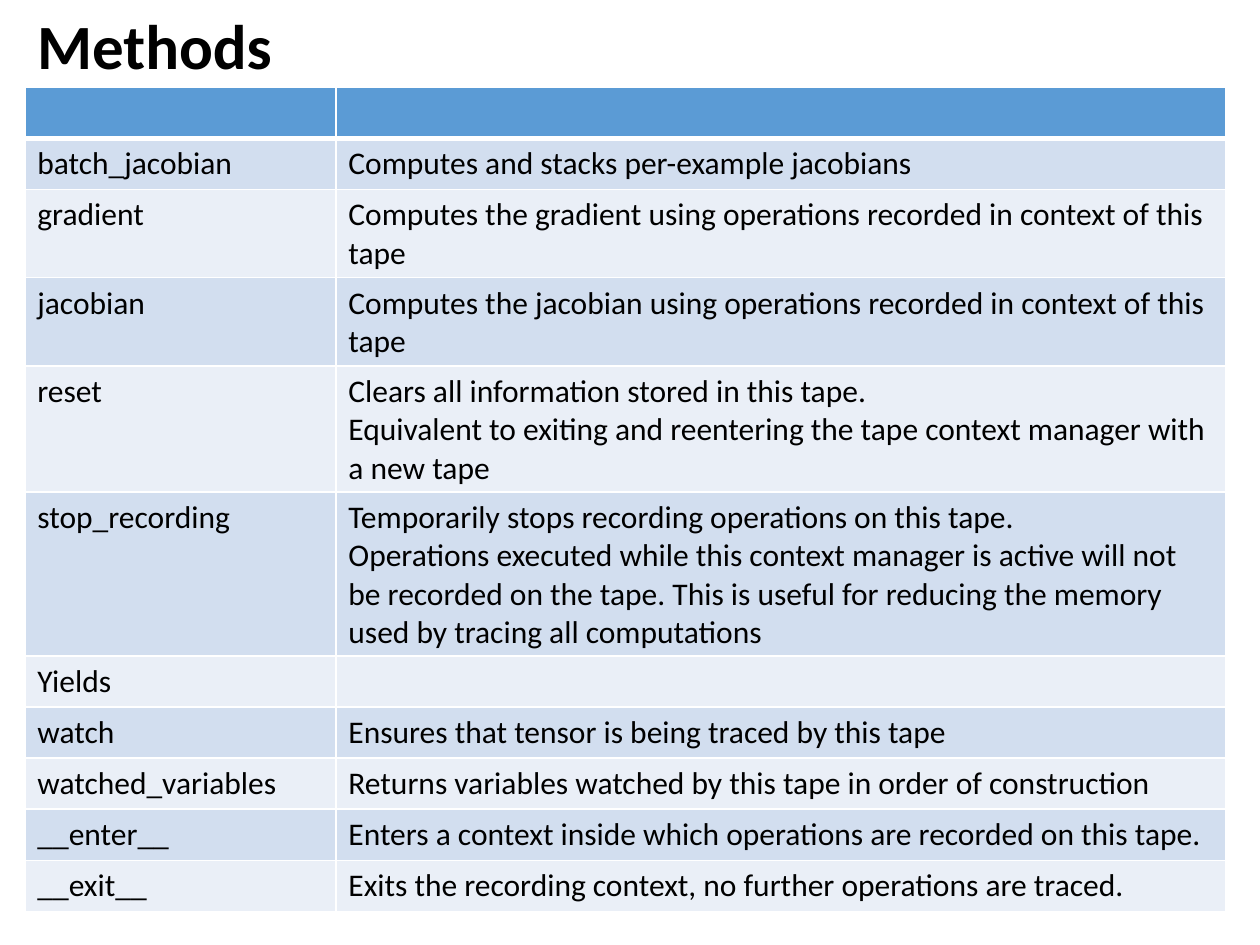
"""Build a slide with a table of gradient tape methods."""
from lxml import etree
from pptx import Presentation
from pptx.dml.color import RGBColor
from pptx.enum.text import MSO_AUTO_SIZE
from pptx.oxml.ns import qn
from pptx.util import Cm, Pt

FIT_SHAPE = MSO_AUTO_SIZE.SHAPE_TO_FIT_TEXT
FONT = "Calibri"
BLACK, WHITE, HEADER = "000000", "FFFFFF", "5B9BD5"
BANDS = ("D2DEEF", "EAEFF7")
COLUMN_WIDTHS = (6.27, 17.93)
ROW_HEIGHT = 1.03
METHODS = [
    ("batch_jacobian", "Computes and stacks per-example jacobians"),
    ("gradient", "Computes the gradient using operations recorded in context of this tape"),
    ("jacobian", "Computes the jacobian using operations recorded in context of this tape"),
    ("reset", "Clears all information stored in this tape.\n"
     "Equivalent to exiting and reentering the tape context manager with a new tape"),
    ("stop_recording", "Temporarily stops recording operations on this tape.\n"
     "Operations executed while this context manager is active will not be recorded "
     "on the tape. This is useful for reducing the memory used by tracing all computations"),
    ("Yields", ""),
    ("watch", "Ensures that tensor is being traced by this tape"),
    ("watched_variables", "Returns variables watched by this tape in order of construction"),
    ("__enter__", "Enters a context inside which operations are recorded on this tape."),
    ("__exit__", "Exits the recording context, no further operations are traced."),
]


def color(value):
    """Turn a hex string into a colour."""
    return RGBColor.from_string(value)


def write(frame, text, size, bold=False):
    """Fill a text frame and format its runs."""
    frame.text = text
    for para in frame.paragraphs:
        for span in para.runs:
            span.font.name = FONT
            span.font.size = Pt(size)
            span.font.bold = bold
            span.font.color.rgb = color(BLACK)


def add_title(page, text):
    """Add the bold heading."""
    box = page.shapes.add_textbox(Cm(0.5), Cm(0), Cm(5.3), Cm(1.8))
    box.text_frame.word_wrap = False
    box.text_frame.auto_size = FIT_SHAPE
    write(box.text_frame, text, 36, bold=True)


def add_borders(cell, bottom_width):
    """Draw white lines on the four sides of a cell."""
    properties = cell._tc.get_or_add_tcPr()
    for side, width in (("L", 1), ("R", 1), ("T", 1), ("B", bottom_width)):
        line = etree.SubElement(properties, qn(f"a:ln{side}"), w=str(Pt(width)))
        fill = etree.SubElement(line, qn("a:solidFill"))
        etree.SubElement(fill, qn("a:srgbClr"), val=WHITE)


def style_cell(cell, fill, bottom_width=1):
    """Give a cell its borders and background."""
    add_borders(cell, bottom_width)
    cell.fill.solid()
    cell.fill.fore_color.rgb = color(fill)


def add_method_table(page):
    """Add the table with an empty header row and banded method rows."""
    count = len(METHODS) + 1
    table = page.shapes.add_table(
        count, len(COLUMN_WIDTHS), Cm(0.5), Cm(1.76),
        Cm(sum(COLUMN_WIDTHS)), Cm(ROW_HEIGHT * count)).table
    for column, width in zip(table.columns, COLUMN_WIDTHS):
        column.width = Cm(width)
    for row in table.rows:
        row.height = Cm(ROW_HEIGHT)
    for cell in table.rows[0].cells:
        style_cell(cell, HEADER, bottom_width=3)
    for index, texts in enumerate(METHODS):
        for cell, text in zip(table.rows[index + 1].cells, texts):
            style_cell(cell, BANDS[index % 2])
            if text:
                write(cell.text_frame, text, 18)


def main():
    """Build and save the deck."""
    deck = Presentation()
    deck.slide_width, deck.slide_height = Cm(25.4), Cm(19.05)
    page = deck.slides.add_slide(deck.slide_layouts[6])
    add_title(page, "Methods")
    add_method_table(page)
    deck.save("out.pptx")


if __name__ == "__main__":
    main()
